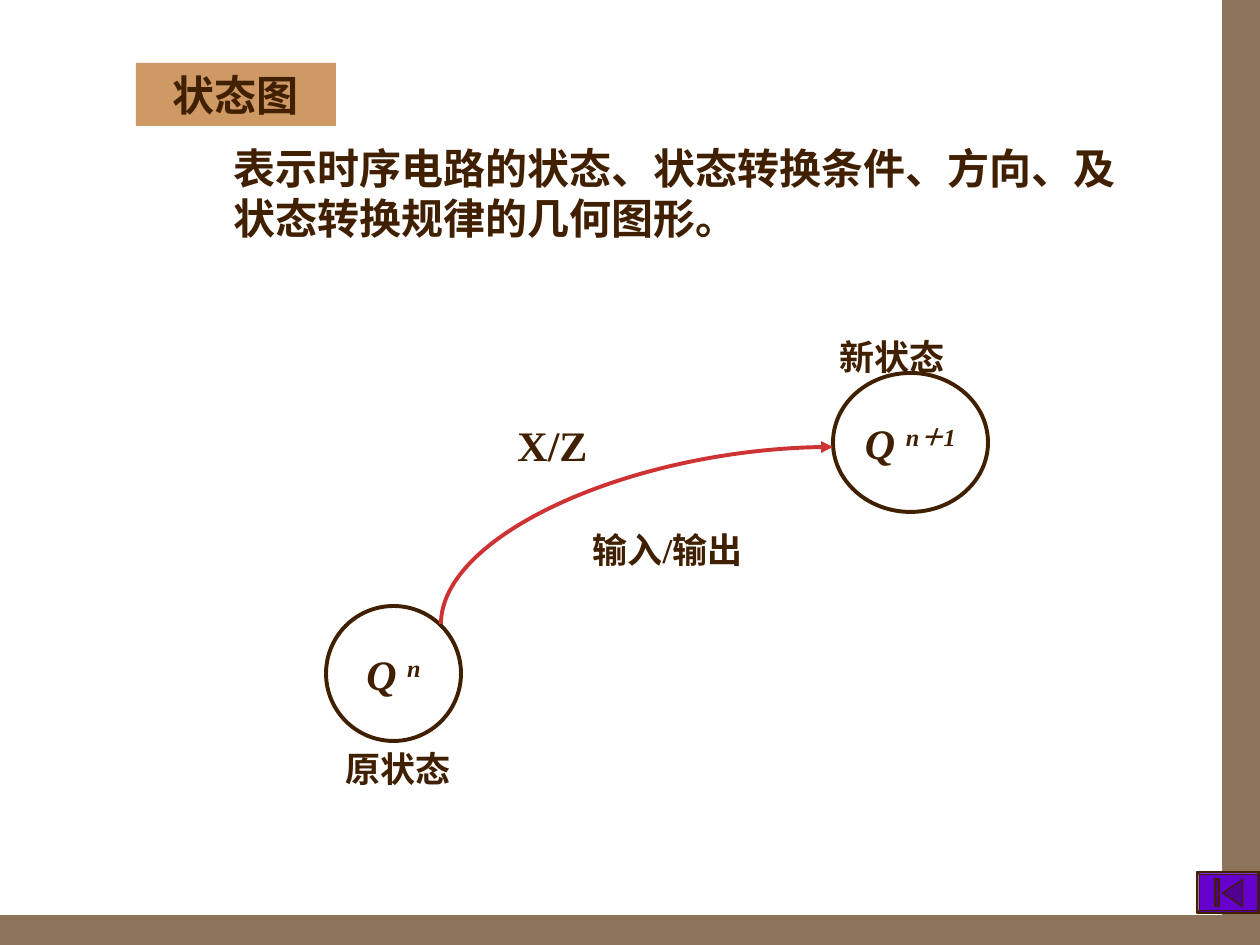
import pptx
import pptx.dml.color
import pptx.enum.shapes
import pptx.enum.text
import pptx.oxml.ns
import pptx.util
from dataclasses import dataclass
from lxml import etree

SHAPE = pptx.enum.shapes.MSO_SHAPE
ALIGN = pptx.enum.text.PP_ALIGN
ANCHOR = pptx.enum.text.MSO_ANCHOR
qn = pptx.oxml.ns.qn


@dataclass(frozen=True)
class Theme:
    back: str = "8C735A"
    page: str = "FFFFFF"
    ink: str = "402000"
    tan: str = "CE9964"
    red: str = "CD3333"
    key: str = "6600CC"
    mark: str = "52008F"
    large: int = 24
    small: int = 20
    thick: float = 2.25
    thin: float = 0.75
    serif: str = "Times New Roman"
    sans: str = "Noto Sans CJK SC"


def px(num):
    return round(num * 914400 / 126)


def tint(name):
    return pptx.dml.color.RGBColor.from_string(name)


def put_text(shape, lines, theme, size, face=None, align=ALIGN.CENTER,
             anchor=ANCHOR.TOP, wrap=False, slant=False, power=""):
    frame = shape.text_frame
    frame.word_wrap = wrap
    frame.vertical_anchor = anchor
    for i, line in enumerate(lines):
        para = frame.paragraphs[0] if i == 0 else frame.add_paragraph()
        para.alignment = align
        for text, base in ((line, None), (power, "30000")):
            if not text:
                continue
            run = para.add_run()
            run.text = text
            font = run.font
            font.size = pptx.util.Pt(size)
            font.bold = True
            font.italic = slant
            font.color.rgb = tint(theme.ink)
            font.name = face or theme.serif
            props = run._r.get_or_add_rPr()
            etree.SubElement(props, qn("a:ea")).set("typeface", theme.sans)
            if base:
                props.set("baseline", base)


class Deck:
    """Hold the theme and the current slide, and draw each kind of element."""

    def __init__(self, theme):
        self.theme = theme
        self.file = pptx.Presentation()
        self.file.slide_width = px(1260)
        self.file.slide_height = px(945)
        self.slide = self.file.slides.add_slide(self.file.slide_layouts[6])
        fill = self.slide.background.fill
        fill.solid()
        fill.fore_color.rgb = tint(theme.back)

    def shape(self, kind, box, fill, line=None, width=0):
        item = self.slide.shapes.add_shape(kind, *map(px, box))
        item.shadow.inherit = False
        item.fill.solid()
        item.fill.fore_color.rgb = tint(fill)
        if line:
            item.line.color.rgb = tint(line)
            item.line.width = pptx.util.Pt(width)
        else:
            item.line.fill.background()
        return item

    def text(self, box, lines, size, **form):
        item = self.slide.shapes.add_textbox(*map(px, box))
        put_text(item, lines, self.theme, size, **form)

    def state(self, box, power):
        look = self.theme
        item = self.shape(SHAPE.OVAL, box, look.page, look.ink, look.thick)
        put_text(item, ["Q "], look, look.large, anchor=ANCHOR.MIDDLE,
                 slant=True, power=power)

    def curve(self, start, end):
        midx, midy = (start[0] + end[0]) / 2, (start[1] + end[1]) / 2
        halfw, halfh = (start[1] - end[1]) / 2, (end[0] - start[0]) / 2
        kind = pptx.enum.shapes.MSO_CONNECTOR.CURVE
        ends = (midx + halfw, midy + halfh, midx - halfw, midy - halfh)
        item = self.slide.shapes.add_connector(kind, *map(px, ends))
        item.line.color.rgb = tint(self.theme.red)
        item.line.width = pptx.util.Pt(self.theme.thick)
        props = item._element.spPr
        props.find(qn("a:xfrm")).set("rot", "5400000")
        props.find(qn("a:prstGeom")).set("prst", "curvedConnector2")
        tail = etree.SubElement(item.line._get_or_add_ln(), qn("a:tailEnd"))
        tail.set("type", "triangle")
        etree.SubElement(props, qn("a:effectLst"))

    def button(self, box):
        look = self.theme
        frame = self.shape(SHAPE.BEVEL, box, look.key, look.ink, look.thin)
        frame.adjustments[0] = 0.06
        left, top = box[:2]
        self.shape(SHAPE.RECTANGLE, (left + 18, top + 7, 4, 27),
                   look.mark, look.ink, look.thin)
        arrow = self.shape(SHAPE.ISOSCELES_TRIANGLE, (left + 22, top + 11, 27, 20),
                           look.mark, look.ink, look.thin)
        arrow.rotation = 270


def main():
    look = Theme()
    deck = Deck(look)
    deck.shape(SHAPE.RECTANGLE, (0, 0, 1222, 915), look.page)
    title = deck.shape(SHAPE.RECTANGLE, (136, 63, 200, 63), look.tan)
    put_text(title, ["状态图"], look, look.large, anchor=ANCHOR.MIDDLE, wrap=True)
    deck.text((221, 136, 907, 113),
              ["表示时序电路的状态、状态转换条件、方向、及", "状态转换规律的几何图形。"],
              look.large, face=look.sans, align=ALIGN.LEFT)
    deck.state((326, 606, 135, 135), "n")
    deck.state((833, 373, 155, 139), "n＋1")
    deck.text((505, 413, 95, 63), ["X/Z"], look.large)
    deck.button((1197, 872, 63, 41))
    deck.curve((441, 624), (833, 447))
    deck.text((556, 522, 223, 55), ["输入/输出"], look.small, wrap=True)
    for left, top, name in ((333, 741, "原状态"), (827, 329, "新状态")):
        deck.text((left, top, 130, 55), [name], look.small)
    deck.file.save("out.pptx")


if __name__ == "__main__":
    main()
